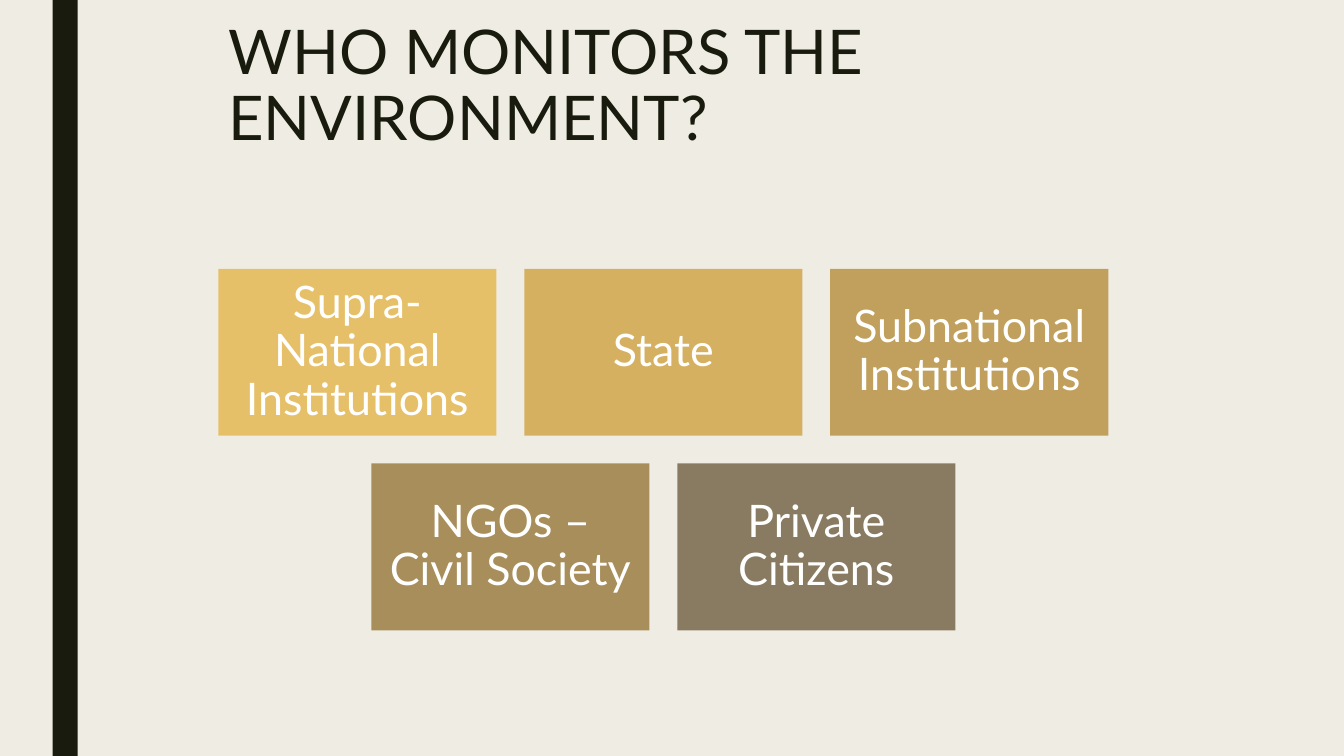
from pptx import Presentation
from pptx.dml.color import RGBColor
from pptx.enum import shapes, text
from pptx.util import Pt

COLOURS = {
    "background": "EFEDE3",
    "ink": "191B0E",
    "white": "FFFFFF",
    "supranational": "E6C069",
    "state": "D5B061",
    "subnational": "C0A05C",
    "society": "A88E5B",
    "citizens": "897B61",
}
FONT = "Lato"
MONITOR_ROWS = [
    [("Supra-National Institutions", "supranational"),
     ("State", "state"),
     ("Subnational Institutions", "subnational")],
    [("NGOs – Civil Society", "society"),
     ("Private Citizens", "citizens")],
]


def colour(name):
    return RGBColor.from_string(COLOURS[name])


def write(shape, wording, *, size, ink, align, anchor, spacing, insets):
    frame = shape.text_frame
    frame.word_wrap = True
    frame.vertical_anchor = anchor
    frame.margin_left = frame.margin_right = Pt(insets[0])
    frame.margin_top = frame.margin_bottom = Pt(insets[1])
    para = frame.paragraphs[0]
    para.alignment = align
    para.line_spacing = spacing
    span = para.add_run()
    span.text = wording
    span.font.name = FONT
    span.font.size = Pt(size)
    span.font.color.rgb = colour(ink)


def add_block(page, box, fill):
    block = page.shapes.add_shape(
        shapes.MSO_SHAPE.RECTANGLE, *(Pt(length) for length in box))
    block.shadow.inherit = False
    block.fill.solid()
    block.fill.fore_color.rgb = colour(fill)
    block.line.fill.background()
    return block


def add_title(page, box, wording):
    title = page.shapes.add_textbox(*(Pt(length) for length in box))
    write(title, wording, size=44, ink="ink", align=text.PP_ALIGN.LEFT,
          anchor=text.MSO_ANCHOR.TOP, spacing=0.89, insets=(7.2, 3.6))


def add_monitors(page, box, rows):
    """Lay out centred rows of tiles; gap and height follow the tile width."""
    left, top, width = box
    columns = max(len(row) for row in rows)
    tile_width = width / (columns + 0.1 * (columns - 1))
    tile_height = 0.6 * tile_width
    gap = 0.1 * tile_width
    for row_index, row in enumerate(rows):
        row_width = len(row) * (tile_width + gap) - gap
        row_left = left + (width - row_width) / 2
        row_top = top + row_index * (tile_height + gap)
        for column, (wording, fill) in enumerate(row):
            tile_left = row_left + column * (tile_width + gap)
            tile = add_block(
                page, (tile_left, row_top, tile_width, tile_height), fill)
            write(tile, wording, size=32, ink="white",
                  align=text.PP_ALIGN.CENTER, anchor=text.MSO_ANCHOR.MIDDLE,
                  spacing=0.9, insets=(9.6, 9.6))


def main():
    deck = Presentation()
    deck.slide_width, deck.slide_height = Pt(960), Pt(540)
    page = deck.slides.add_slide(deck.slide_layouts[6])
    page.background.fill.solid()
    page.background.fill.fore_color.rgb = colour("background")

    # Side stripe
    add_block(page, (37.5, 0, 18, 540), "ink")
    # Heading
    add_title(page, (156, 12, 672, 108), "WHO MONITORS THE ENVIRONMENT?")
    # Tiles of monitoring bodies
    add_monitors(page, (156, 192, 635.7), MONITOR_ROWS)

    deck.save("out.pptx")


if __name__ == "__main__":
    main()
